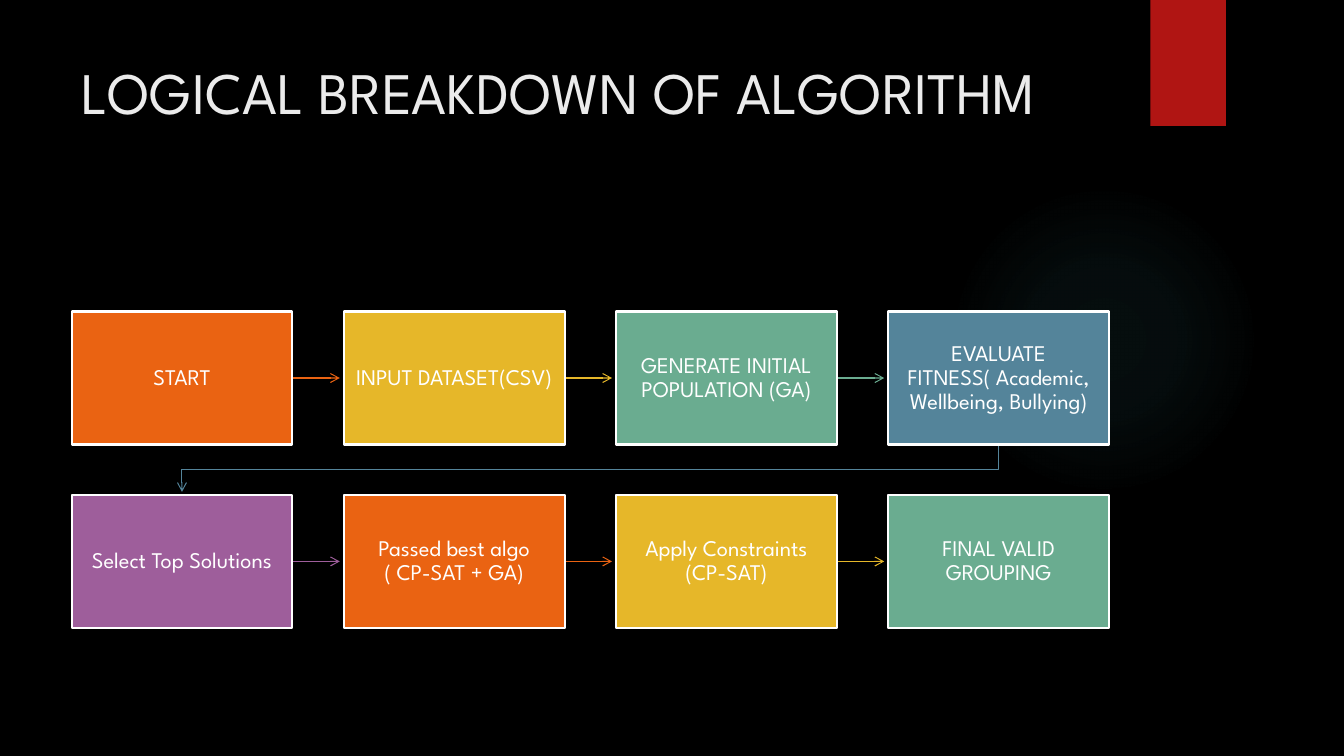
from lxml import etree
from pptx import Presentation
from pptx import util as u
from pptx.dml import color
from pptx.enum import shapes, text
from pptx.oxml import ns

FONT = "League Spartan"
WHITE = "FFFFFF"
ORANGE, GOLD, GREEN, BLUE, PLUM = "EA6312", "E6B729", "6AAC90", "54849A", "9E5E9B"
LEFT, TOP = 0.71, 3.09
WIDE, HIGH = 2.19, 1.32
STEP_X, STEP_Y = 2.7, 1.82
COLS = 4
REACH = 0.47
STEPS = [
    ("START", ORANGE),
    ("INPUT DATASET(CSV)", GOLD),
    ("GENERATE INITIAL POPULATION (GA)", GREEN),
    ("EVALUATE FITNESS( Academic, Wellbeing, Bullying)", BLUE),
    ("Select Top Solutions", PLUM),
    ("Passed best algo ( CP-SAT + GA)", ORANGE),
    ("Apply Constraints (CP-SAT)", GOLD),
    ("FINAL VALID GROUPING", GREEN),
]


def rgb(code):
    return color.RGBColor.from_string(code)


def put(obj, values):
    """Set each attribute named in values on obj."""
    for name, value in values.items():
        setattr(obj, name, value)


def node(parent, tag, **attrs):
    return etree.SubElement(parent, ns.qn("a:" + tag), attrs)


def write(frame, words, size, tint, frame_set, para_set):
    put(frame, {"word_wrap": True, "auto_size": text.MSO_AUTO_SIZE.NONE, **frame_set})
    para = frame.paragraphs[0]
    put(para, para_set)
    run = para.add_run()
    put(run, {"text": words})
    put(run.font, {"name": FONT, "size": u.Pt(size)})
    run.font.color.rgb = rgb(tint)


def block(slide, kind, box, fill=None, edge=None):
    """Add a preset shape, with a white-style outline only if edge is given."""
    shape = slide.shapes.add_shape(kind, *map(u.Inches, box))
    shape.shadow.inherit = False
    if fill:
        shape.fill.solid()
        shape.fill.fore_color.rgb = rgb(fill)
    else:
        shape.fill.background()
    if edge:
        shape.line.color.rgb = rgb(edge)
        shape.line.width = u.Pt(1.5)
    else:
        shape.line.fill.background()
    return shape


def glow(slide):
    shape = block(slide, shapes.MSO_SHAPE.OVAL, (9.41, 1.83, 3.08, 3.08))
    props = shape.element.spPr
    grad = node(props, "gradFill", rotWithShape="1")
    stops = node(grad, "gsLst")
    for place, alpha in ((0, 7), (36, 6), (69, 0)):
        stop = node(stops, "gs", pos=str(place * 1000))
        tint = node(stop, "srgbClr", val="50B9C1")
        node(tint, "alpha", val=str(alpha * 1000))
    fade = node(grad, "path", path="circle")
    node(fade, "fillToRect", l="50000", t="50000", r="50000", b="50000")
    props.replace(props.find(ns.qn("a:noFill")), grad)


def title(slide):
    shape = slide.shapes.title
    put(shape, {"left": u.Inches(0.71), "top": u.Inches(0.5),
                "width": u.Inches(10.29), "height": u.Inches(1.53)})
    write(shape.text_frame, "LOGICAL BREAKDOWN OF ALGORITHM", 42, "EBEBEB",
          {"vertical_anchor": text.MSO_ANCHOR.TOP},
          {"alignment": text.PP_ALIGN.LEFT, "line_spacing": 1.0})


def arrow(shape, tint):
    """Give a line its colour, width and open arrowhead."""
    shape.line.color.rgb = rgb(tint)
    shape.line.width = u.Pt(0.75)
    node(shape.line._get_or_add_ln(), "tailEnd", type="arrow")


def link(slide, x, y, tint):
    line = slide.shapes.add_connector(
        shapes.MSO_CONNECTOR.STRAIGHT, *map(u.Inches, (x, y, x + REACH, y)))
    arrow(line, tint)
    node(line.element.spPr, "effectLst")


def bend(slide, x, y, tint):
    """Draw the stepped arrow from the end of a row to the next row's start."""
    end, mid = LEFT + WIDE / 2, y + (STEP_Y - HIGH) / 2
    points = [(x, mid), (end, mid), (end, y + REACH)]
    pen = slide.shapes.build_freeform(u.Inches(x), u.Inches(y))
    pen.add_line_segments(
        [(u.Inches(a), u.Inches(b)) for a, b in points], close=False)
    shape = pen.convert_to_shape()
    shape.shadow.inherit = False
    shape.fill.background()
    arrow(shape, tint)


def step(slide, index, words, tint):
    row, col = divmod(index, COLS)
    x, y = LEFT + col * STEP_X, TOP + row * STEP_Y
    if col < COLS - 1:
        link(slide, x + WIDE, y + HIGH / 2, tint)
    elif index < len(STEPS) - 1:
        bend(slide, x + WIDE / 2, y + HIGH, tint)
    shape = block(slide, shapes.MSO_SHAPE.RECTANGLE, (x, y, WIDE, HIGH), tint, WHITE)
    sides = ("left", "top", "right", "bottom")
    pads = {"margin_" + side: u.Inches(0.11) for side in sides}
    write(shape.text_frame, words, 16, WHITE,
          {"vertical_anchor": text.MSO_ANCHOR.MIDDLE, **pads},
          {"alignment": text.PP_ALIGN.CENTER, "line_spacing": 0.9})


def main():
    deck = Presentation()
    put(deck, {"slide_width": u.Inches(13.33), "slide_height": u.Inches(7.5)})
    slide = deck.slides.add_slide(deck.slide_layouts[5])
    slide.background.fill.solid()
    slide.background.fill.fore_color.rgb = rgb("000000")
    glow(slide)
    block(slide, shapes.MSO_SHAPE.RECTANGLE, (11.41, 0, 0.75, 1.25), "B01513")
    title(slide)
    for index, (words, tint) in enumerate(STEPS):
        step(slide, index, words, tint)
    deck.save("out.pptx")


if __name__ == "__main__":
    main()
